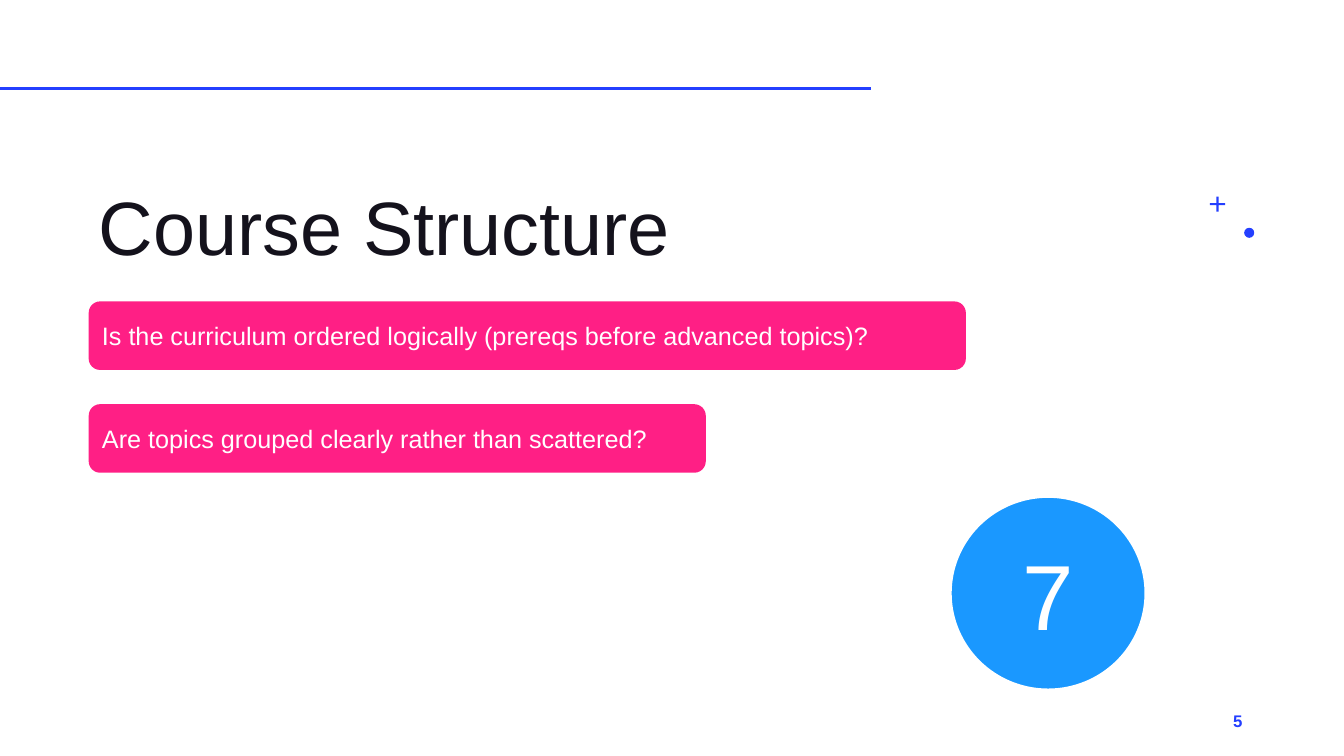
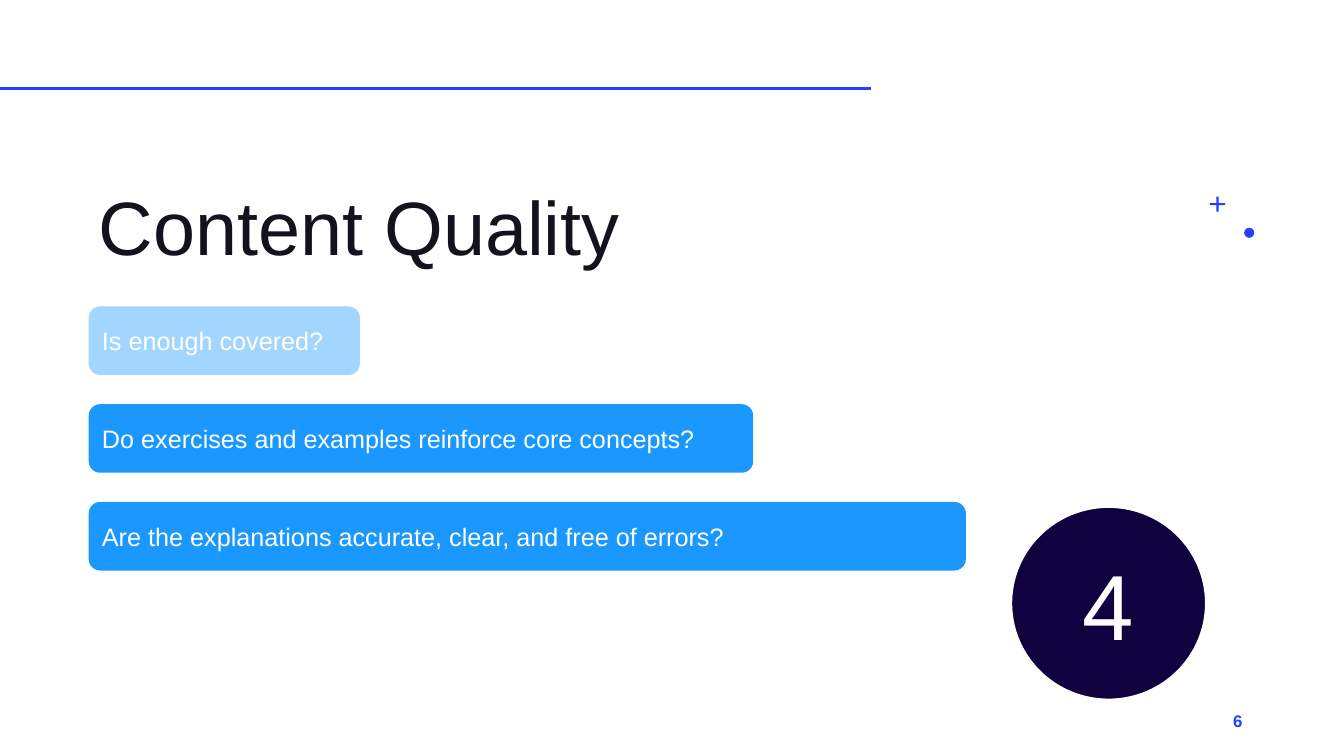
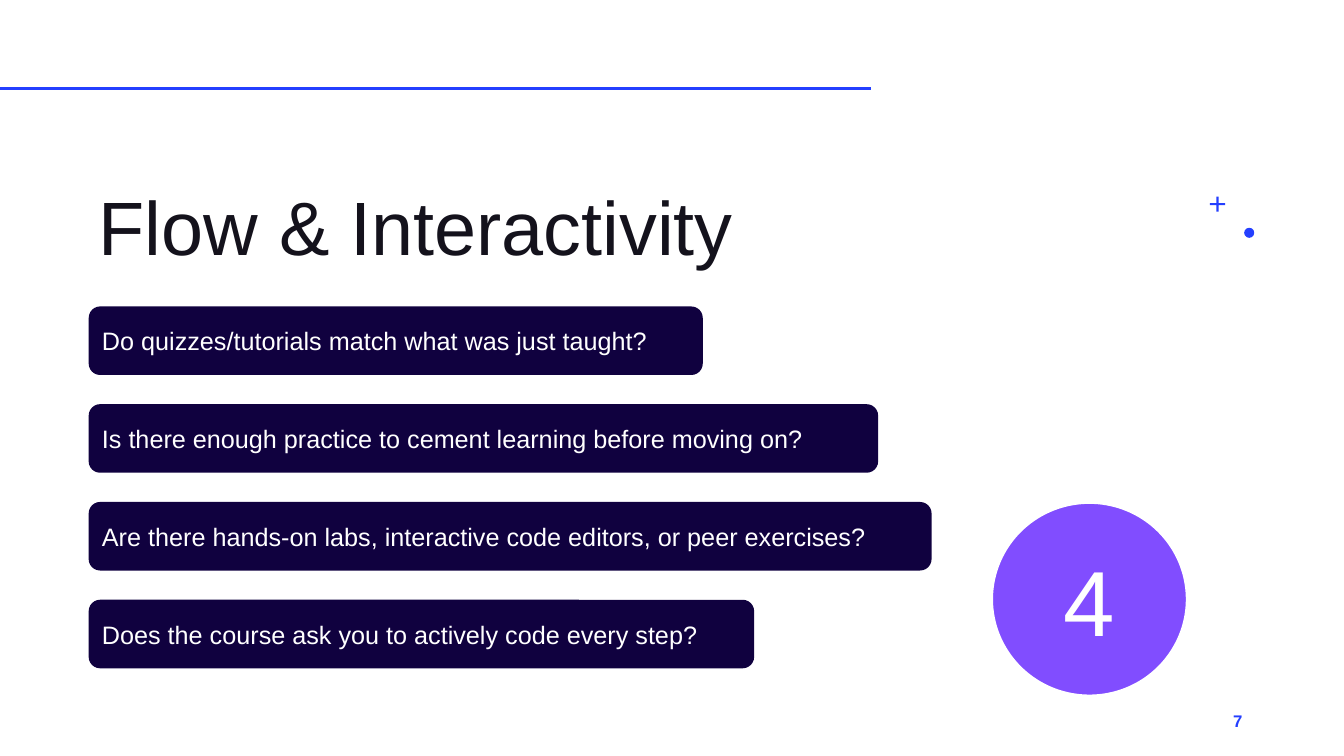
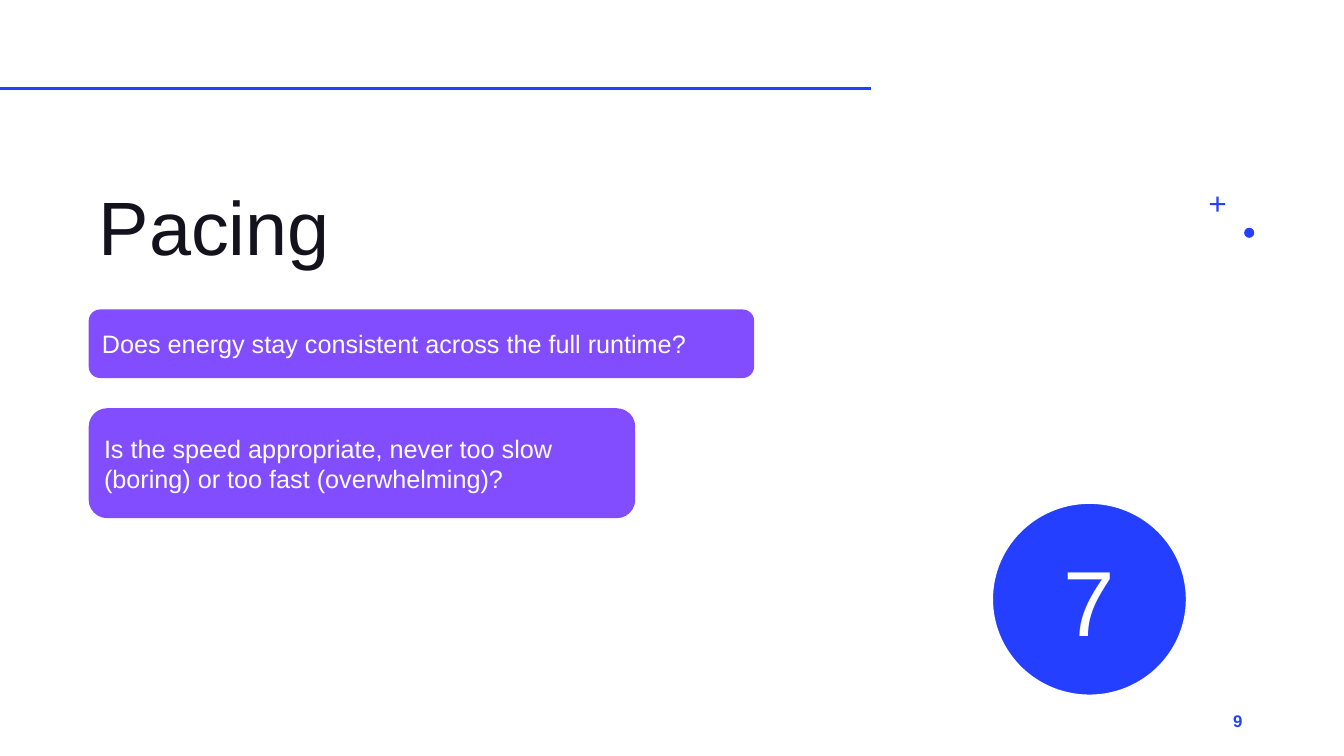
from dataclasses import dataclass

from lxml.etree import SubElement
from pptx import Presentation
from pptx.dml.color import RGBColor
from pptx.enum.shapes import MSO_CONNECTOR, MSO_SHAPE
from pptx.enum.text import MSO_ANCHOR, PP_ALIGN
from pptx.oxml.ns import qn
from pptx.util import Pt

EMU_PER_PX = 9144


@dataclass(frozen=True)
class Theme:
    """Colours, font and type sizes shared by all slides."""
    font: str = "Arial"
    white: str = "FFFFFF"
    ink: str = "14121C"
    blue: str = "243FFF"
    pink: str = "FF1F85"
    sky: str = "1A98FF"
    pale_sky: str = "A3D6FF"
    navy: str = "10013F"
    violet: str = "814DFF"
    title_size: int = 54
    question_size: int = 18
    score_size: int = 66
    page_size: int = 12


THEME = Theme()


@dataclass(frozen=True)
class Question:
    """One question bar: its lines of text, width and fill."""
    lines: tuple
    width: int
    fill: str


@dataclass(frozen=True)
class Criterion:
    """One slide: title, page, score circle and stacked questions."""
    title: str
    page: int
    score: int
    score_at: tuple
    score_fill: str
    first_top: int
    gap: int
    questions: tuple


CRITERIA = (
    Criterion("Course Structure", 5, 7, (942, 492), THEME.sky, 299, 34, (
        Question(("Is the curriculum ordered logically (prereqs before advanced topics)?",),
                 870, THEME.pink),
        Question(("Are topics grouped clearly rather than scattered?",), 612, THEME.pink),
    )),
    Criterion("Content Quality", 6, 4, (1002, 502), THEME.navy, 304, 29, (
        Question(("Is enough covered?",), 269, THEME.pale_sky),
        Question(("Do exercises and examples reinforce core concepts?",), 659, THEME.sky),
        Question(("Are the explanations accurate, clear, and free of errors?",), 870, THEME.sky),
    )),
    Criterion("Flow & Interactivity", 7, 4, (983, 498), THEME.violet, 304, 29, (
        Question(("Do quizzes/tutorials match what was just taught?",), 609, THEME.navy),
        Question(("Is there enough practice to cement learning before moving on?",),
                 783, THEME.navy),
        Question(("Are there hands‑on labs, interactive code editors, or peer exercises?",),
                 836, THEME.navy),
        Question(("Does the course ask you to actively code every step?",), 660, THEME.navy),
    )),
    Criterion("Pacing", 9, 7, (983, 498), THEME.blue, 307, 30, (
        Question(("Does energy stay consistent across the full runtime?",), 660, THEME.violet),
        Question(("Is the speed appropriate, never too slow",
                  "(boring) or too fast (overwhelming)?"), 542, THEME.violet),
    )),
)


def px(*lengths):
    """Turn px lengths into a list of EMU."""
    return [length * EMU_PER_PX for length in lengths]


def rgb(colour):
    """Turn a hex string into a colour."""
    return RGBColor.from_string(colour)


def write(holder, lines, size, colour, align=PP_ALIGN.LEFT, anchor=MSO_ANCHOR.MIDDLE,
          bold=False, spacing=None, tracking=None):
    """Fill a text-bearing shape with one paragraph for each line."""
    frame = holder.text_frame
    frame.word_wrap = True
    frame.vertical_anchor = anchor
    for index, line in enumerate(lines):
        paragraph = frame.add_paragraph() if index else frame.paragraphs[0]
        paragraph.alignment = align
        paragraph.line_spacing = spacing
        run = paragraph.add_run()
        run.text = line
        run.font.name = THEME.font
        run.font.size = Pt(size)
        run.font.bold = bold
        run.font.color.rgb = rgb(colour)
        if tracking:
            run._r.get_or_add_rPr().set("spc", str(tracking))


def add_filled(slide, preset, box, fill):
    """Add a flat preset shape without outline."""
    shape = slide.shapes.add_shape(preset, *px(*box))
    shape.shadow.inherit = False
    shape.fill.solid()
    shape.fill.fore_color.rgb = rgb(fill)
    shape.line.fill.background()
    return shape


def add_frame(slide, title, page):
    """Draw the top rule, corner marks, title and page number."""
    rule = slide.shapes.add_connector(MSO_CONNECTOR.STRAIGHT, *px(0, 88, 864, 88))
    rule.line.color.rgb = rgb(THEME.blue)
    rule.line.width = Pt(2)
    SubElement(rule._element.spPr, qn("a:effectLst"))
    add_filled(slide, MSO_SHAPE.OVAL, (1234, 226, 10, 10), THEME.blue)
    plus = add_filled(slide, MSO_SHAPE.CROSS, (1200, 195, 15, 15), THEME.blue)
    plus.adjustments[0] = 0.43
    heading = slide.shapes.add_textbox(*px(88, 146, 791, 129))
    write(heading, [title], THEME.title_size, THEME.ink, anchor=MSO_ANCHOR.BOTTOM, spacing=0.9)
    page_number = slide.shapes.add_textbox(*px(942, 695, 300, 40))
    write(page_number, [str(page)], THEME.page_size, THEME.blue, PP_ALIGN.RIGHT,
          bold=True, tracking=100)


def add_questions(slide, questions, top, gap):
    """Stack the question bars, each as tall as its lines need."""
    for question in questions:
        height = 27 + 41 * len(question.lines)
        bar = add_filled(slide, MSO_SHAPE.ROUNDED_RECTANGLE,
                         (88, top, question.width, height), question.fill)
        write(bar, question.lines, THEME.question_size, THEME.white)
        top += height + gap


def add_score(slide, score, position, fill):
    """Draw the score in its circle."""
    circle = add_filled(slide, MSO_SHAPE.OVAL, (*position, 195, 193), fill)
    circle.line.color.rgb = rgb(THEME.white)
    circle.line.width = Pt(2.75)
    write(circle, [str(score)], THEME.score_size, THEME.white, PP_ALIGN.CENTER)


def main():
    """Build one slide for each criterion and save the deck."""
    deck = Presentation()
    deck.slide_width, deck.slide_height = px(1333, 750)
    for criterion in CRITERIA:
        slide = deck.slides.add_slide(deck.slide_layouts[6])
        add_frame(slide, criterion.title, criterion.page)
        add_questions(slide, criterion.questions, criterion.first_top, criterion.gap)
        add_score(slide, criterion.score, criterion.score_at, criterion.score_fill)
    deck.save("out.pptx")


if __name__ == "__main__":
    main()
